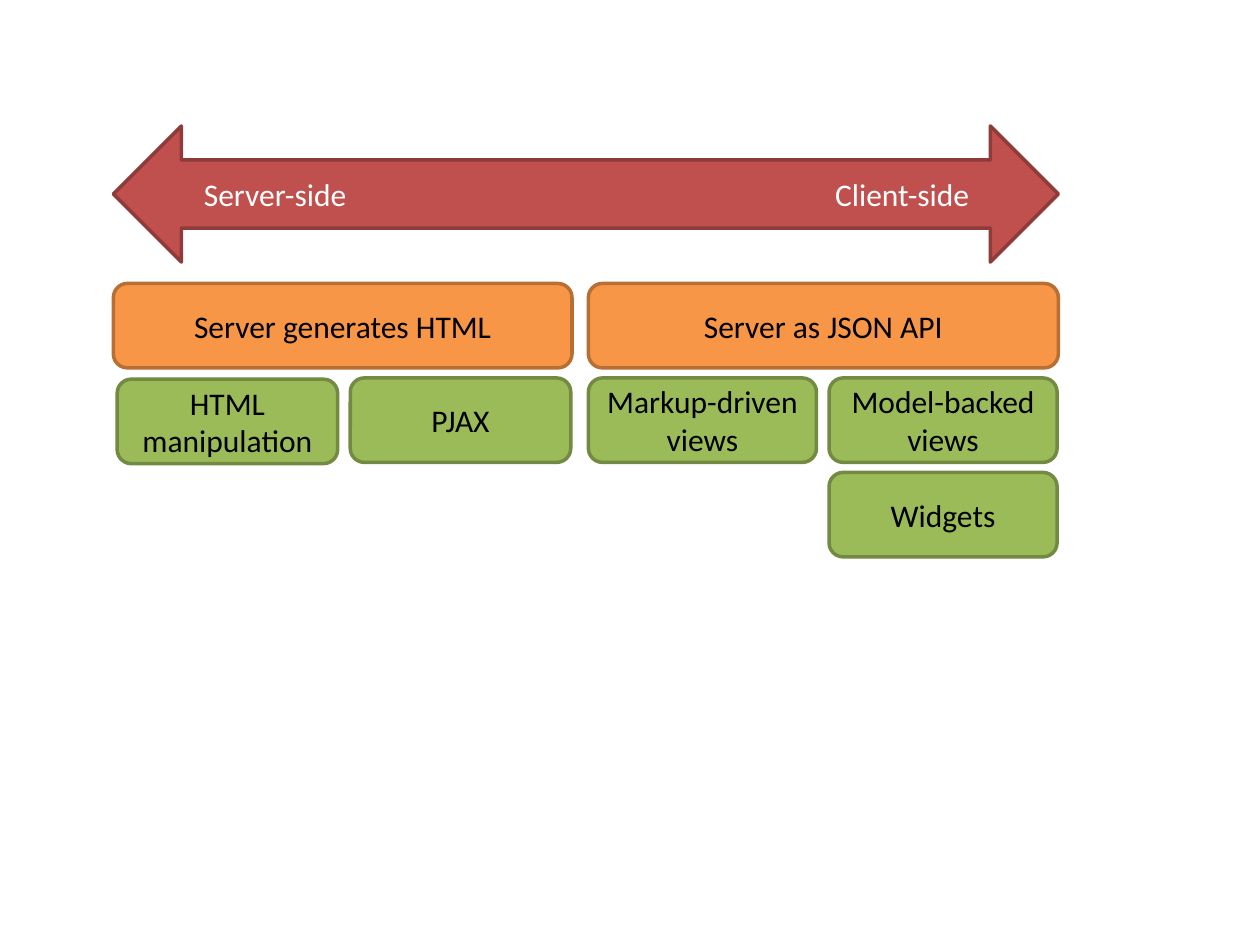
from dataclasses import dataclass

from lxml.etree import SubElement
from pptx import Presentation
from pptx.dml.color import RGBColor
from pptx.enum.shapes import MSO_SHAPE
from pptx.enum.text import MSO_ANCHOR, MSO_AUTO_SIZE, PP_ALIGN
from pptx.oxml.ns import qn
from pptx.util import Inches, Pt

RED = RGBColor(0xC0, 0x50, 0x4D)
DARK_RED = RGBColor(0x8E, 0x3B, 0x39)
ORANGE = RGBColor(0xF7, 0x96, 0x46)
DARK_ORANGE = RGBColor(0xB7, 0x6F, 0x34)
GREEN = RGBColor(0x9B, 0xBB, 0x59)
DARK_GREEN = RGBColor(0x73, 0x8A, 0x42)
BLACK = RGBColor(0, 0, 0)
WHITE = RGBColor(0xFF, 0xFF, 0xFF)

BOX_HEIGHT = 0.67
ROW_TOPS = [2.25 + 0.75 * row for row in range(3)]
LEFT_EDGE, MIDDLE_EDGE, MODEL_EDGE = 0.9, 4.67, 6.58
HTML_WIDTH, VIEW_WIDTH = 1.75, 1.81


@dataclass(frozen=True)
class Style:
    fill: RGBColor
    line: RGBColor


@dataclass(frozen=True)
class Box:
    text: str
    left: float
    top: float
    width: float
    style: Style


SPECTRUM = Style(RED, DARK_RED)
APPROACH = Style(ORANGE, DARK_ORANGE)
TECHNIQUE = Style(GREEN, DARK_GREEN)

BOXES = [
    Box("Server generates HTML", LEFT_EDGE, ROW_TOPS[0], 3.64, APPROACH),
    Box("Server as JSON API", MIDDLE_EDGE, ROW_TOPS[0], 3.73, APPROACH),
    Box("HTML manipulation", 0.93, ROW_TOPS[1] + 0.01, HTML_WIDTH, TECHNIQUE),
    Box("PJAX", 2.78, ROW_TOPS[1], HTML_WIDTH, TECHNIQUE),
    Box("Markup-driven views", MIDDLE_EDGE, ROW_TOPS[1], VIEW_WIDTH, TECHNIQUE),
    Box("Model-backed views", MODEL_EDGE, ROW_TOPS[1], VIEW_WIDTH, TECHNIQUE),
    Box("Widgets", MODEL_EDGE, ROW_TOPS[2], VIEW_WIDTH, TECHNIQUE),
]


def add_block(slide, preset, left: float, top: float, width: float,
              height: float, style: Style):
    block = slide.shapes.add_shape(
        preset, Inches(left), Inches(top), Inches(width), Inches(height))
    block.shadow.inherit = False
    block.fill.solid()
    block.fill.fore_color.rgb = style.fill
    block.line.color.rgb = style.line
    block.line.width = Pt(2)
    return block


def write_text(paragraph, text: str, color: RGBColor) -> None:
    run = paragraph.add_run()
    run.text = text
    for attribute, value in {"name": "Calibri", "size": Pt(18)}.items():
        setattr(run.font, attribute, value)
    run.font.color.rgb = color


def add_box(slide, box: Box) -> None:
    block = add_block(slide, MSO_SHAPE.ROUNDED_RECTANGLE, box.left, box.top,
                      box.width, BOX_HEIGHT, box.style)
    frame = block.text_frame
    for attribute, value in {"word_wrap": True,
                             "vertical_anchor": MSO_ANCHOR.MIDDLE}.items():
        setattr(frame, attribute, value)
    frame.paragraphs[0].alignment = PP_ALIGN.CENTER
    write_text(frame.paragraphs[0], box.text, BLACK)


def add_spectrum(slide) -> None:
    add_block(slide, MSO_SHAPE.LEFT_RIGHT_ARROW, LEFT_EDGE, 1, 7.5, 1.08, SPECTRUM)
    ends = slide.shapes.add_textbox(
        Inches(1.52), Inches(1.34), Inches(6.87), Inches(0.4))
    frame = ends.text_frame
    for attribute, value in {"word_wrap": True,
                             "auto_size": MSO_AUTO_SIZE.SHAPE_TO_FIT_TEXT}.items():
        setattr(frame, attribute, value)
    paragraph = frame.paragraphs[0]
    write_text(paragraph, "Server-side\tClient-side", WHITE)
    tab_stops = SubElement(paragraph._p.get_or_add_pPr(), qn("a:tabLst"))
    SubElement(tab_stops, qn("a:tab"), pos=str(Inches(5.01)), algn="l")


def main() -> None:
    presentation = Presentation()
    presentation.slide_width = Inches(10)
    presentation.slide_height = Inches(7.5)
    slide = presentation.slides.add_slide(presentation.slide_layouts[6])
    add_spectrum(slide)
    for box in BOXES:
        add_box(slide, box)
    presentation.save("out.pptx")


if __name__ == "__main__":
    main()
